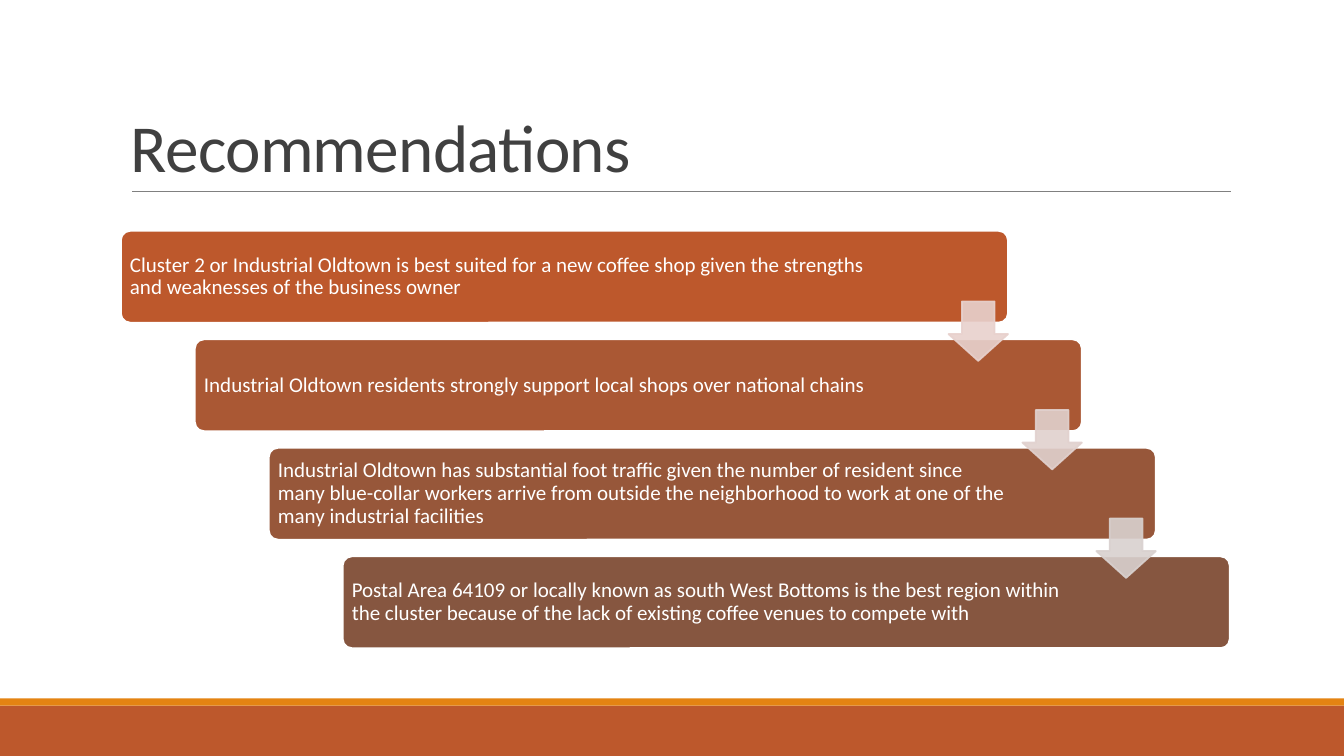
from lxml.etree import SubElement as Sub
from pptx import Presentation
from pptx.dml.color import RGBColor
from pptx.enum.shapes import MSO_CONNECTOR as Link, MSO_SHAPE as Kind
from pptx.enum.text import MSO_ANCHOR as Anchor
from pptx.oxml.ns import qn
from pptx.util import Inches, Pt

WIDE, HIGH = 13.33, 7.5
STEPS = [
    ("BD582C", "E8D1CD", 7.74, "Cluster 2 or Industrial Oldtown is best suited for a new coffee shop "
     "given the strengths and weaknesses of the business owner"),
    ("AA5834", "E1D1CE", 7.42, "Industrial Oldtown residents strongly support local shops "
     "over national chains"),
    ("97573A", "D9D1CF", 7.42, "Industrial Oldtown has substantial foot traffic given the number of "
     "resident since many blue-collar workers arrive from outside the neighborhood to work at one "
     "of the many industrial facilities"),
    ("865640", None, 7.42, "Postal Area 64109 or locally known as south West Bottoms is the best region "
     "within the cluster because of the lack of existing coffee venues to compete with"),
]


def tint(part, code):
    """Set a solid colour on a fill or a colour on a font or line."""
    if hasattr(part, "solid"):
        part.solid()
        part = part.fore_color
    else:
        part = part.color
    part.rgb = RGBColor.from_string(code)


def shape(slide, kind, box, fill, edge=None, adj=(), alpha=None):
    """Add a flat preset shape, optionally outlined and see-through."""
    item = slide.shapes.add_shape(kind, *map(Inches, box))
    item.shadow.inherit = False
    tint(item.fill, fill)
    if edge:
        tint(item.line, edge)
        item.line.width = Pt(1.25)
    else:
        item.line.fill.background()
    for spot, value in enumerate(adj):
        item.adjustments[spot] = value
    if alpha:
        for clr in item._element.spPr.iter(qn("a:srgbClr")):
            Sub(clr, qn("a:alpha")).set("val", str(alpha * 1000))


def label(slide, box, text, size, code, space, frame):
    """Add a wrapped text box and return its run."""
    body = slide.shapes.add_textbox(*map(Inches, box)).text_frame
    for name, value in {"word_wrap": True, **frame}.items():
        setattr(body, name, value)
    para = body.paragraphs[0]
    para.line_spacing = space
    run = para.add_run()
    for name, value in {"text": text}.items():
        setattr(run, name, value)
    for name, value in {"name": "Calibri", "size": Pt(size)}.items():
        setattr(run.font, name, value)
    tint(run.font, code)
    return run


def footer(slide, left, top, width, height):
    """Draw the bottom band under its thin accent strip."""
    strip = 0.07
    shape(slide, Kind.RECTANGLE, (left, top + strip, width, height - strip), "BD582C")
    shape(slide, Kind.RECTANGLE, (left, top, width, strip), "E48312")


def header(slide, left, top, width, height):
    """Place the title above its rule."""
    base = top + height
    ends = left + 0.11, base, left + width + 0.01, base
    rule = slide.shapes.add_connector(Link.STRAIGHT, *map(Inches, ends))
    tint(rule.line, "808080")
    rule.line.width = Pt(0.5)
    Sub(rule._element.spPr, qn("a:effectLst"))
    run = label(slide, (left, top, width, height), "Recommendations", 48, "404040", 0.85,
                {"vertical_anchor": Anchor.BOTTOM})
    run._r.get_or_add_rPr().set("spc", "-50")


def stairs(slide, left, top, width, height):
    """Step the bars down to the right, joined by arrows."""
    wide, high, side, pad = width * 0.8, height * 0.22, 0.59, 0.03
    gaps = len(STEPS) - 1
    across, down = (width - wide) / gaps, (height - high) / gaps
    inset = dict.fromkeys(["margin_" + edge for edge in ("left", "top", "right", "bottom")],
                          Inches(0.06))
    spots = [(left + n * across, top + n * down) for n in range(len(STEPS))]
    for (x, y), (fill, _, span, text) in zip(spots, STEPS):
        shape(slide, Kind.ROUNDED_RECTANGLE, (x, y, wide, high), fill, "FFFFFF", [0.1])
        label(slide, (x + pad, y + pad, span, high - 2 * pad), text, 15, "FFFFFF", 0.9,
              {"vertical_anchor": Anchor.MIDDLE, **inset})
    for (x, y), (_, pale, _, _) in zip(spots[:-1], STEPS):
        shape(slide, Kind.DOWN_ARROW, (x + wide - side, y + 0.7, side, side), pale, pale,
              [0.55, 0.45], 90)


def main():
    """Build and save the slide."""
    deck = Presentation()
    deck.slide_width, deck.slide_height = Inches(WIDE), Inches(HIGH)
    slide = deck.slides.add_slide(deck.slide_layouts[6])
    tint(slide.background.fill, "FFFFFF")
    edge, span = WIDE * 0.09, WIDE * 0.825
    footer(slide, 0, 6.93, WIDE, HIGH - 6.93)
    header(slide, edge, 0.31, span, 1.59)
    stairs(slide, edge, 2.29, span, 4.14)
    deck.save("out.pptx")


if __name__ == "__main__":
    main()
